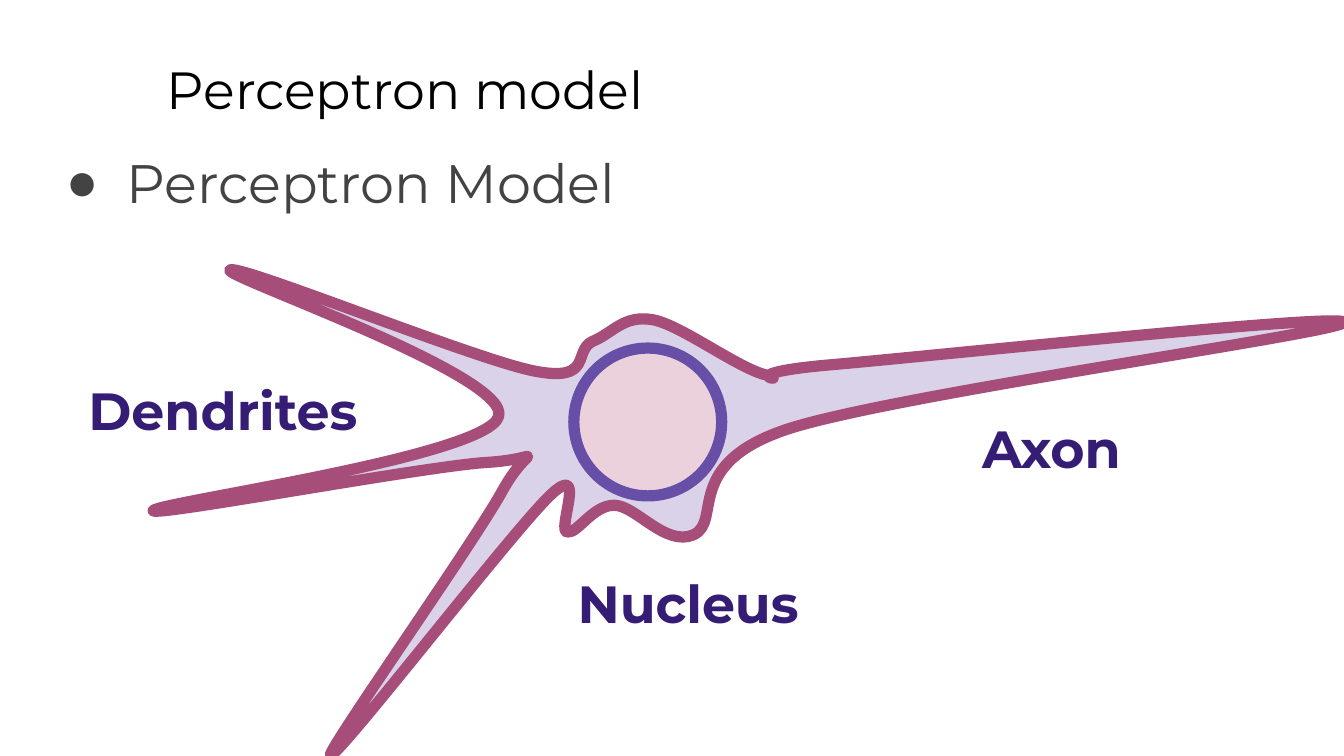
from lxml.etree import SubElement
from pptx import Presentation
from pptx.dml.color import RGBColor
from pptx.enum.shapes import MSO_SHAPE as SHAPE
from pptx.enum.text import MSO_ANCHOR as ANCHOR, MSO_AUTO_SIZE as FIT, PP_ALIGN as ALIGN
from pptx.oxml.ns import qn
from pptx.util import Inches, Pt

prs = Presentation()
prs.slide_width, prs.slide_height = Inches(10), Inches(5.625)
U = prs.slide_width // 100  # one column or row: a hundredth of the slide's width
s = prs.slides.add_slide(prs.slide_layouts[1])


def write(sp, at, text, size, color, bold=False):
    """Place a text shape on the grid and fill it with one formatted paragraph."""
    for name, n in zip(("left", "top", "width", "height"), at):
        setattr(sp, name, round(n * U))
    tf = sp.text_frame
    fmt = {"word_wrap": True, "auto_size": FIT.NONE, "vertical_anchor": ANCHOR.TOP}
    fmt |= {f"margin_{side}": U for side in ("left", "top", "right", "bottom")}
    for name, value in fmt.items():
        setattr(tf, name, value)
    p = tf.paragraphs[0]
    p.alignment, p.space_before = ALIGN.LEFT, Pt(0)
    r = p.add_run()
    r.text = text
    for name, value in {"name": "Montserrat", "size": Pt(size), "bold": bold}.items():
        setattr(r.font, name, value)
    r.font.color.rgb = RGBColor.from_string(color)
    return p


def paint(sp, fill, line):
    """Flat fill with a thick, round-jointed outline."""
    sp.shadow.inherit = False
    sp.fill.solid()
    sp.fill.fore_color.rgb = RGBColor.from_string(fill)
    sp.line.color.rgb = RGBColor.from_string(line)
    sp.line.width = Pt(6)
    SubElement(sp.line._get_or_add_ln(), qn("a:round"))


# Title and bulleted list
write(s.shapes.title, (11.4, 3.25, 85.2, 6.3), "Perceptron model", 28, "000000")
p = write(s.placeholders[1], (3.4, 10.1, 95, 37.4), "Perceptron Model", 29, "434343")
pPr = p._p.get_or_add_pPr()
pPr.set("marL", str(Inches(0.5)))
pPr.set("indent", str(Inches(-0.45)))
SubElement(SubElement(pPr, qn("a:buClr")), qn("a:srgbClr"), val="434343")
SubElement(pPr, qn("a:buChar"), char="●")

# Neuron outline: each row holds two control points and an end point
start = (61.2, 27.2)
curves = [
    # axon
    (68.4, 26.6, 100.4, 23.2, 100, 24), (99.5, 24.8, 66.8, 29.3, 58.7, 31.9),
    # underside of the cell body
    (50.7, 34.5, 53.8, 38.8, 51.6, 39.8), (49.5, 40.7, 47.3, 37.6, 45.7, 37.6),
    (44.1, 37.6, 43, 39.7, 42.2, 39.6), (41.4, 39.5, 43.8, 34.1, 40.9, 36.9),
    # dendrites, from the lowest up
    (38, 39.7, 25.2, 56.3, 24.6, 56.2), (24.1, 56.2, 35.4, 40.2, 37.4, 36.5),
    (39.4, 32.9, 40.7, 34.1, 36.4, 34.4), (32.1, 34.6, 11.3, 38.5, 11.4, 38),
    (11.6, 37.4, 36.2, 34, 37.1, 31), (38.1, 28, 16.7, 20.6, 17.1, 20.1),
    (17.5, 19.5, 35.2, 26.7, 39.7, 27.6),
    # top of the cell body
    (44.2, 28.5, 42.6, 26.1, 44.1, 25.4), (45.6, 24.8, 46.4, 23.4, 48.6, 23.8),
    (50.7, 24.2, 54.9, 27.4, 57, 27.9), (59.1, 28.5, 54, 27.9, *start),
]
outline = s.shapes.build_freeform(*(round(n * U) for n in start))
outline.add_line_segments([(round(x * U), round(y * U)) for *_, x, y in curves], close=True)
neuron = outline.convert_to_shape()
paint(neuron, "D9D2E9", "A64D79")

# Bend each straight segment into its Bézier curve
segments = list(neuron._element.iter(qn("a:lnTo")))
for segment, curve in zip(segments, curves):
    bend = segment.makeelement(qn("a:cubicBezTo"), {})
    for x, y in zip(curve[::2], curve[1::2]):
        SubElement(bend, qn("a:pt"), x=str(round(x * U) - neuron.left),
                   y=str(round(y * U) - neuron.top))
    segment.getparent().replace(segment, bend)

# Part labels
for text, x, y in (("Dendrites", 5.6, 27.15), ("Nucleus", 42, 41.5), ("Axon", 72.1, 30)):
    write(s.shapes.add_textbox(0, 0, 0, 0), (x, y, 23.3, 6.3), text, 28, "351C75", True)

# Nucleus
nucleus = s.shapes.add_shape(SHAPE.OVAL, *(round(n * U) for n in (42.7, 25.9, 11, 11)))
paint(nucleus, "EAD1DC", "674EA7")

prs.save("out.pptx")
